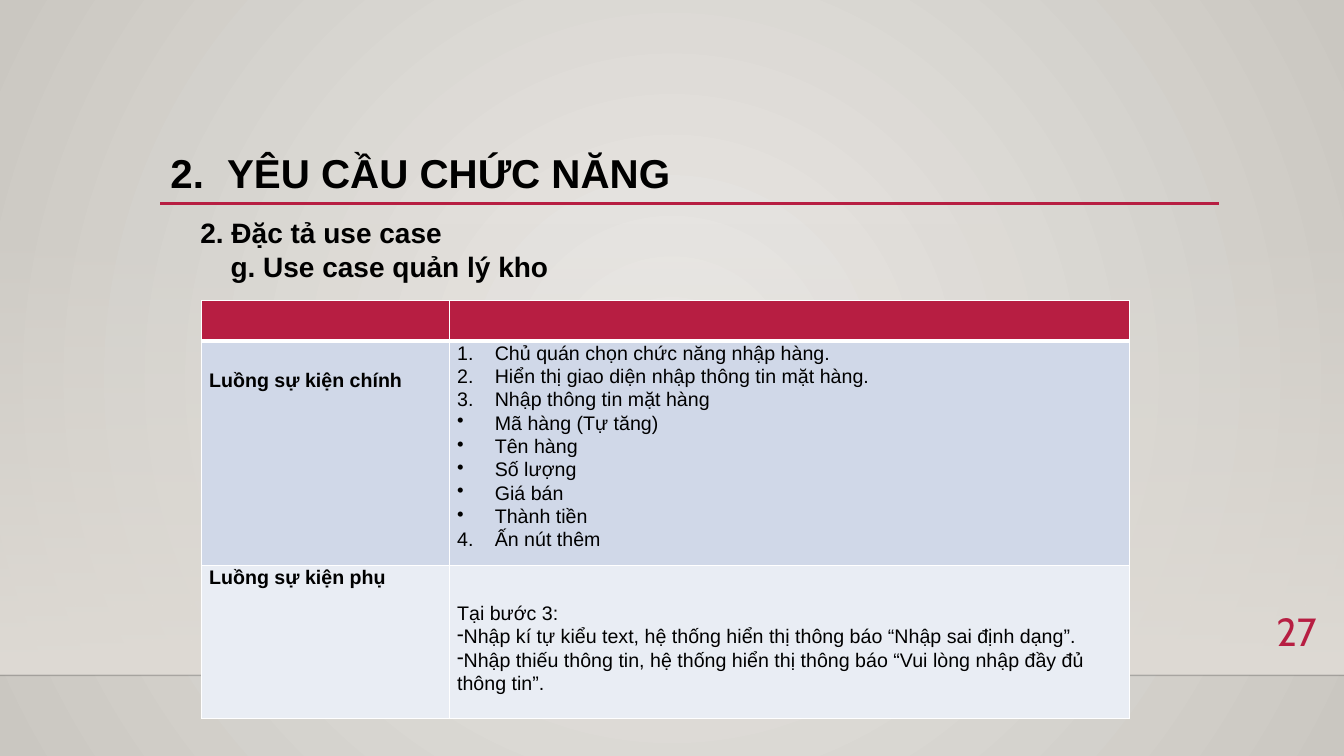
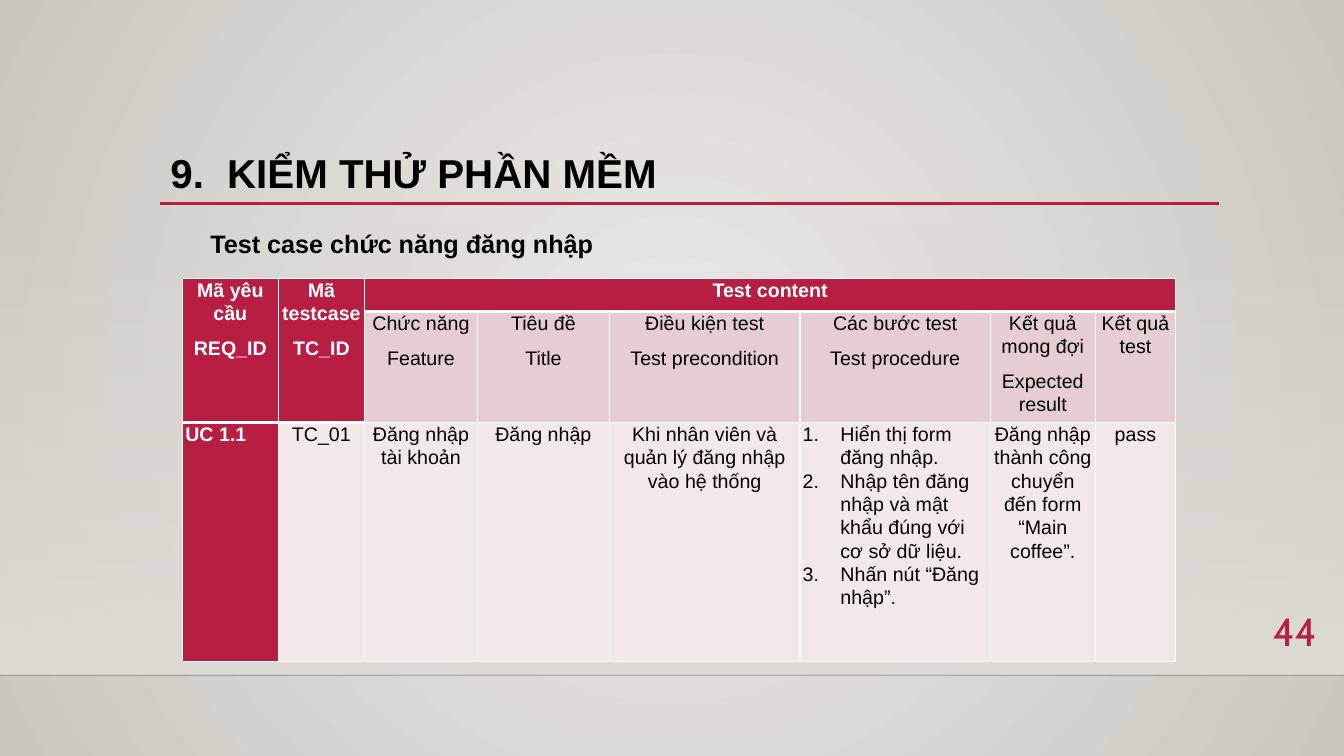
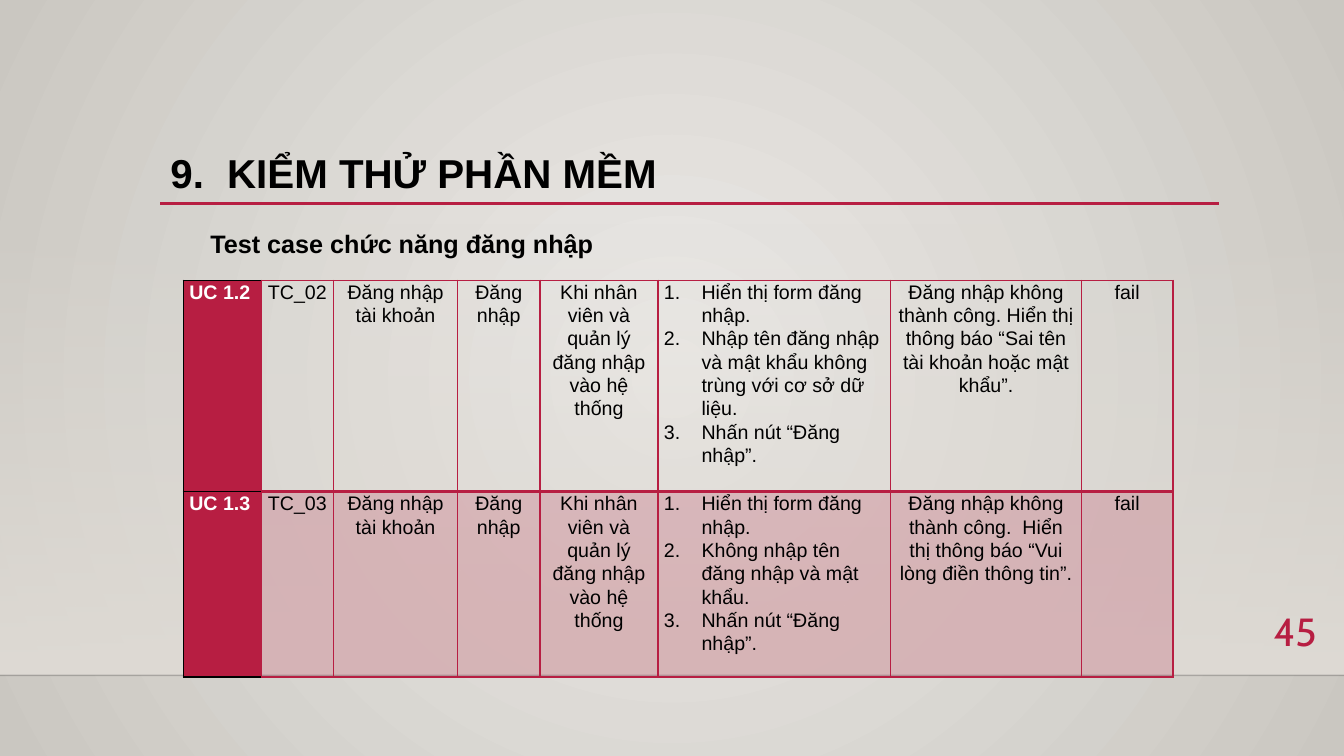
from dataclasses import dataclass
from typing import NamedTuple

from lxml import etree
from pptx import Presentation
from pptx.dml.color import RGBColor
from pptx.enum import shapes, text
from pptx.oxml.ns import qn
from pptx.util import Cm, Pt

CRIMSON, BLACK, WHITE = "B71E42", "000000", "FFFFFF"
FONT, NUMBER_FONT = "Arial", "Cabin"
HANG = 0.95
TITLE_HANG = 1.43
LEFT, CENTER, RIGHT = text.PP_ALIGN.LEFT, text.PP_ALIGN.CENTER, text.PP_ALIGN.RIGHT


class Box(NamedTuple):
    """Left, top, width and height in centimetres."""
    left: float
    top: float
    width: float
    height: float


class Look(NamedTuple):
    """Fill, text and border of a table cell; fill None leaves it clear."""
    fill: str | None
    color: str = BLACK
    bold: bool = False
    edge: str = WHITE
    bottom: float = 1
    opacity: int = 100


class Line(NamedTuple):
    """One paragraph; mark is '1.', a bullet character, 'tab' or ''."""
    text: str
    mark: str = ""


@dataclass
class Cell:
    lines: list[Line]
    look: Look
    align: text.PP_ALIGN = LEFT
    after: float = 0
    top: float = 0
    bottom: float = 0
    anchor: text.MSO_ANCHOR = text.MSO_ANCHOR.TOP
    span: tuple[int, int] = (1, 1)


@dataclass
class Grid:
    left: float
    top: float
    inset: float
    widths: list[float]
    heights: list[float]
    rows: list[list[Cell]]


@dataclass
class Subhead:
    text: str
    box: Box
    size: float


@dataclass
class Page:
    title: str
    number: int
    subheads: list[Subhead]
    grid: Grid


def rgb(color: str) -> RGBColor:
    return RGBColor.from_string(color)


def cm(box: Box) -> list[Cm]:
    return [Cm(v) for v in box]


def add_alpha(element, percent: int) -> None:
    color = next(element.iter(qn("a:srgbClr")))
    etree.SubElement(color, qn("a:alpha"), val=str(percent * 1000))


def style_runs(p, size: float, color: str, bold: bool = False, font: str = FONT) -> None:
    for r in p.runs:
        r.font.size, r.font.bold, r.font.name = Pt(size), bold, font
        r.font.color.rgb = rgb(color)


def set_hang(p, hang: float):
    pPr = p._p.get_or_add_pPr()
    pPr.set("marL", str(Cm(hang)))
    pPr.set("indent", str(-Cm(hang)))
    return pPr


def add_text(s, content: str, box: Box, size: float, color: str = BLACK,
             bold: bool = True, font: str = FONT, align=LEFT):
    tf = s.shapes.add_textbox(*cm(box)).text_frame
    tf.word_wrap = True
    tf.text = content
    p = tf.paragraphs[0]
    p.alignment = align
    style_runs(p, size, color, bold, font)
    return tf


def set_gradient(fill, first: str, last: str) -> None:
    fill.gradient()
    for stop, color, position in zip(fill.gradient_stops, (first, last), (0, 1)):
        stop.color.rgb = rgb(color)
        stop.position = position


def add_rule(s, left: float, right: float, y: float, color: str, width: float):
    line = s.shapes.add_connector(shapes.MSO_CONNECTOR.STRAIGHT,
                                  Cm(left), Cm(y), Cm(right), Cm(y))
    line.line.color.rgb = rgb(color)
    line.line.width = Pt(width)
    etree.SubElement(line.element.spPr, qn("a:effectLst"))
    return line


def build_backdrop(layout, s) -> None:
    """Draw the shared backdrop on a slide and move it into the layout."""
    for ph in list(layout.placeholders):
        if ph.placeholder_format.type != shapes.PP_PLACEHOLDER.TITLE:
            ph.element.getparent().remove(ph.element)

    set_gradient(layout.background.fill, "ECEAE7", "CAC7C1")
    grad = next(layout.element.iter(qn("a:gradFill")))
    grad.remove(grad.find(qn("a:lin")))
    circle = etree.SubElement(grad, qn("a:path"), {"path": "circle"})
    etree.SubElement(circle, qn("a:fillToRect"),
                     {side: "50000" for side in "ltrb"})

    band = s.shapes.add_shape(shapes.MSO_SHAPE.RECTANGLE,
                              *cm(Box(0, 5.61, 33.87, 11.4)))
    band.shadow.inherit = False
    band.line.fill.background()
    set_gradient(band.fill, "DFDBD5", "DFDBD5")
    band.fill.gradient_angle = 270
    add_alpha(band.element, 0)

    floor_line = add_rule(s, 0, 33.87, 17.02, "000001", 1)
    add_alpha(floor_line.element, 20)
    title_line = add_rule(s, 4.04, 30.73, 5.13, CRIMSON, 2.5)
    for sp in (band, floor_line, title_line):
        layout.shapes.element.append(sp.element)


def set_title(s, content: str) -> None:
    title = s.shapes.title
    title.left, title.top, title.width, title.height = cm(Box(4.04, 3.68, 26.67, 1.47))
    tf = title.text_frame
    tf.vertical_anchor = text.MSO_ANCHOR.MIDDLE
    tf.text = content
    p = tf.paragraphs[0]
    p.alignment, p.line_spacing = LEFT, 0.9
    set_hang(p, TITLE_HANG)
    style_runs(p, 28.8, BLACK, True)


def set_mark(p, mark: str) -> None:
    pPr = set_hang(p, 0 if mark == "-" else HANG)
    if mark == "1.":
        etree.SubElement(pPr, qn("a:buAutoNum"), type="arabicPeriod")
    elif mark != "tab":
        etree.SubElement(pPr, qn("a:buChar"), char=mark)


def set_borders(cell, color: str, top: float, bottom: float) -> None:
    tcPr = cell._tc.get_or_add_tcPr()
    sides = {"lnL": 1, "lnR": 1, "lnT": top, "lnB": bottom}
    for i, (side, width) in enumerate(sides.items()):
        ln = etree.Element(qn(f"a:{side}"), w=str(Pt(width)))
        fill = etree.SubElement(ln, qn("a:solidFill"))
        etree.SubElement(fill, qn("a:srgbClr"), val=color)
        tcPr.insert(i, ln)


def fill_cell(cell, item: Cell, inset: float, top_edge: float) -> None:
    look = item.look
    cell.margin_left = cell.margin_right = Cm(inset)
    cell.margin_top, cell.margin_bottom = Cm(item.top), Cm(item.bottom)
    cell.vertical_anchor = item.anchor
    tf = cell.text_frame
    for i, line in enumerate(item.lines):
        p = tf.add_paragraph() if i else tf.paragraphs[0]
        p.text = line.text
        p.alignment, p.line_spacing = item.align, 1.06
        p.space_after = Pt(item.after)
        if line.mark:
            set_mark(p, line.mark)
        style_runs(p, 14, look.color, look.bold)
    if look.fill:
        cell.fill.solid()
        cell.fill.fore_color.rgb = rgb(look.fill)
        if look.opacity < 100:
            add_alpha(cell._tc.tcPr, look.opacity)
    else:
        cell.fill.background()
    set_borders(cell, look.edge, top_edge, look.bottom)


def add_grid(s, grid: Grid) -> None:
    box = Box(grid.left, grid.top, sum(grid.widths), sum(grid.heights))
    table = s.shapes.add_table(len(grid.heights), len(grid.widths), *cm(box)).table
    table.first_row = table.horz_banding = False
    for column, width in zip(table.columns, grid.widths):
        column.width = Cm(width)
    for row, height in zip(table.rows, grid.heights):
        row.height = Cm(height)
    for y, items in enumerate(grid.rows):
        for x, item in enumerate(items):
            top_edge = grid.rows[y - 1][x].look.bottom if y else 1
            fill_cell(table.cell(y, x), item, grid.inset, top_edge)
    for y, items in enumerate(grid.rows):
        for x, item in enumerate(items):
            if item.span != (1, 1):
                down, across = item.span
                table.cell(y, x).merge(table.cell(y + down - 1, x + across - 1))


def centered(look: Look, *lines: str, span: tuple[int, int] = (1, 1)) -> Cell:
    return Cell([Line(t) for t in lines], look, CENTER, 8, span=span)


def steps(look: Look, *lines: str) -> Cell:
    return Cell([Line(t, "1.") for t in lines], look)


def test_row(code: str, look: Look, code_look: Look, feature_title: list[str],
             procedure: list[str], result: list[str]) -> list[Cell]:
    """One test case: UC code, TC code, texts, numbered steps, result and verdict."""
    uc, tc = code.split("/")
    return [Cell([Line(uc)], code_look, after=8),
            *(centered(look, t) for t in (tc, *feature_title)),
            steps(look, *procedure),
            *(centered(look, t) for t in result)]


def use_case_grid() -> Grid:
    head = Look(CRIMSON, WHITE, True, bottom=3)
    main, main_label = Look("D0D8E8"), Look("D0D8E8", bold=True)
    side, side_label = Look("E9EDF4"), Look("E9EDF4", bold=True)
    flow = [Line(t, "1.") for t in ("Chủ quán chọn chức năng nhập hàng.",
                                    "Hiển thị giao diện nhập thông tin mặt hàng.",
                                    "Nhập thông tin mặt hàng")]
    flow += [Line(t, "•") for t in ("Mã hàng (Tự tăng)", "Tên hàng", "Số lượng",
                                    "Giá bán", "Thành tiền")]
    flow.append(Line("4.\tẤn nút thêm", "tab"))
    errors = [
        Line("Tại bước 3:"),
        Line("Nhập kí tự kiểu text, hệ thống hiển thị thông báo “Nhập sai định dạng”.", "-"),
        Line("Nhập thiếu thông tin, hệ thống hiển thị thông báo "
             "“Vui lòng nhập đầy đủ thông tin”.", "-"),
    ]
    return Grid(5.08, 7.57, 0.19, [6.25, 17.14], [1.02, 5.64, 3.86], [
        [Cell([], head), Cell([], head)],
        [Cell([Line("Luồng sự kiện chính")], main_label, top=0.69), Cell(flow, main)],
        [Cell([Line("Luồng sự kiện phụ")], side_label),
         Cell(errors, side, bottom=0.6, anchor=text.MSO_ANCHOR.BOTTOM)],
    ])


FEATURE = "Đăng nhập tài khoản"
TITLE = "Đăng nhập"
CONDITION = "Khi nhân viên và quản lý đăng nhập vào hệ thống"
OPEN_FORM = "Hiển thị form đăng nhập."
PRESS_LOGIN = "Nhấn nút “Đăng nhập”."


def passed_grid() -> Grid:
    head = Look(CRIMSON, WHITE, True, bottom=3)
    label, sub, body = Look(CRIMSON, WHITE, True), Look("E6CDCF"), Look("F3E8E9")
    columns = [("Chức năng", "Feature"), ("Tiêu đề", "Title"),
               ("Điều kiện test", "Test precondition"),
               ("Các bước test", "Test procedure"),
               ("Kết quả mong đợi", "Expected result"), ("Kết quả test",)]
    covered = Cell([], head)
    return Grid(
        4.6, 7.01, 0.07,
        [2.41, 2.18, 2.84, 3.33, 4.8, 4.8, 2.64, 2.03], [0.84, 2.79, 6.03],
        [[centered(head, "Mã yêu cầu", "REQ_ID", span=(2, 1)),
          centered(head, "Mã testcase", "TC_ID", span=(2, 1)),
          centered(head, "Test content", span=(1, 6)), *[covered] * 5],
         [covered, covered, *(centered(sub, *names) for names in columns)],
         test_row("UC 1.1/TC_01", body, label, [FEATURE, TITLE, CONDITION],
                  [OPEN_FORM, "Nhập tên đăng nhập và mật khẩu đúng với cơ sở dữ liệu.",
                   PRESS_LOGIN],
                  ["Đăng nhập thành công chuyển đến form “Main coffee”.", "pass"])])


def failed_grid() -> Grid:
    label = Look(CRIMSON, WHITE, True, BLACK)
    clear = Look(None, edge=CRIMSON, bottom=2)
    tinted = Look(CRIMSON, edge=CRIMSON, opacity=20)
    cases = [
        ("UC 1.2/TC_02", clear,
         "Nhập tên đăng nhập và mật khẩu không trùng với cơ sở dữ liệu.",
         "Đăng nhập không thành công. Hiển thị thông báo "
         "“Sai tên tài khoản hoặc mật khẩu”."),
        ("UC 1.3/TC_03", tinted, "Không nhập tên đăng nhập và mật khẩu.",
         "Đăng nhập không thành công.  Hiển thị thông báo “Vui lòng điền thông tin”."),
    ]
    return Grid(
        4.62, 7.06, 0.15,
        [1.96, 1.83, 3.12, 2.08, 2.97, 5.87, 4.8, 2.31], [5.33, 4.67],
        [test_row(code, look, label, [FEATURE, TITLE, CONDITION],
                  [OPEN_FORM, entry, PRESS_LOGIN], [expected, "fail"])
         for code, look, entry, expected in cases])


def main() -> None:
    login = Subhead("Test case chức năng đăng nhập", Box(5.05, 5.63, 11, 1.02), 18)
    testing = "9.\tKIỂM THỬ PHẦN MỀM"
    pages = [
        Page("2.\tYÊU CẦU CHỨC NĂNG", 27,
             [Subhead("2. Đặc tả use case", Box(4.8, 5.31, 8.61, 1.12), 20),
              Subhead("g. Use case quản lý kho", Box(5.56, 6.17, 11.4, 1.12), 20)],
             use_case_grid()),
        Page(testing, 44, [login], passed_grid()),
        Page(testing, 45, [login], failed_grid()),
    ]
    prs = Presentation()
    prs.slide_width, prs.slide_height = Cm(33.87), Cm(19.05)
    layout = prs.slide_layouts[5]
    slides = [prs.slides.add_slide(layout) for _ in pages]
    build_backdrop(layout, slides[0])
    for s, page in zip(slides, pages):
        set_title(s, page.title)
        for subhead in page.subheads:
            add_text(s, subhead.text, subhead.box, subhead.size)
        add_grid(s, page.grid)
        tf = add_text(s, str(page.number), Box(31.17, 15.19, 2.26, 1.4), 28,
                      CRIMSON, False, NUMBER_FONT, RIGHT)
        tf.vertical_anchor = text.MSO_ANCHOR.MIDDLE
    prs.save("out.pptx")


if __name__ == "__main__":
    main()
